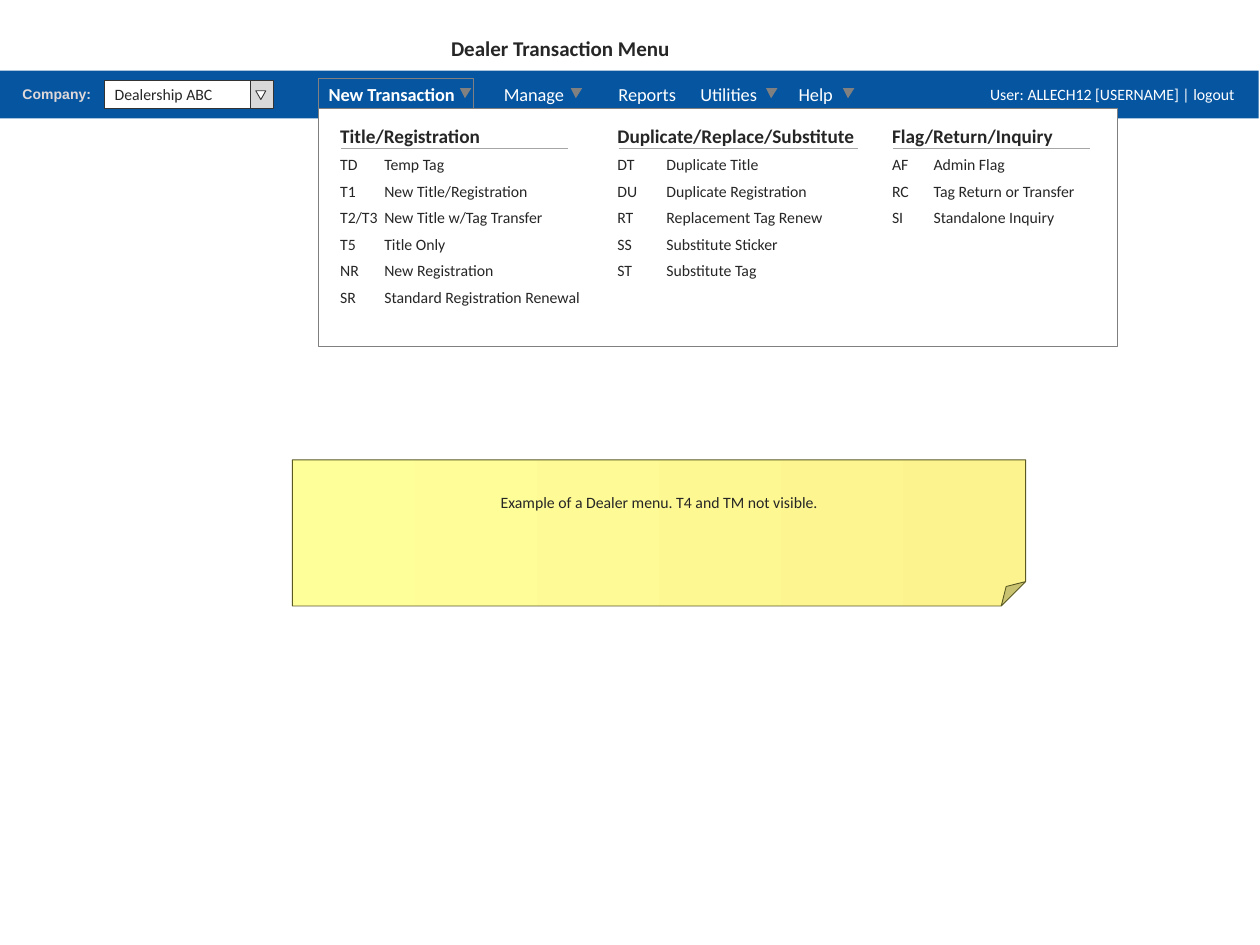
from pptx import Presentation
from pptx.dml.color import RGBColor
from pptx.enum.shapes import MSO_CONNECTOR, MSO_SHAPE
from pptx.enum.text import MSO_ANCHOR, PP_ALIGN
from pptx.oxml.ns import qn
from pptx.util import Inches, Pt
from lxml import etree

RECT = MSO_SHAPE.RECTANGLE
TRI = MSO_SHAPE.ISOSCELES_TRIANGLE
NOTE = MSO_SHAPE.FOLDED_CORNER
LINE = MSO_CONNECTOR.STRAIGHT
MID, TOP = MSO_ANCHOR.MIDDLE, MSO_ANCHOR.TOP
LEFT, CENTER = PP_ALIGN.LEFT, PP_ALIGN.CENTER

INK, WHITE, BLUE = "262626", "FFFFFF", "0655A1"
GRAY, DARK = "808080", "333333"
PAD = (0.08, 0.04, 0.08, 0.04)
WIDE = (0.1, 0.05, 0.1, 0.05)
ROW = 0.21

# Menu columns: heading, left, heading width, rule width, name offset, rows
COLUMNS = [
    ("Title/Registration", 2.62, 1.29, 1.8, 0.35, [
        ("TD", "Temp Tag", 0.66),
        ("T1", "New Title/Registration", 1.32),
        ("T2/T3", "New Title w/Tag Transfer", 1.45),
        ("T5", "Title Only", 0.65),
        ("NR", "New Registration", 1.04),
        ("SR", "Standard Registration Renewal", 1.74)]),
    ("Duplicate/Replace/Substitute", 4.82, 2.08, 1.9, 0.39, [
        ("DT", "Duplicate Title", 0.9),
        ("DU", "Duplicate Registration", 1.3),
        ("RT", "Replacement Tag Renew", 1.42),
        ("SS", "Substitute Sticker", 1.06),
        ("ST", "Substitute Tag", 0.89)]),
    ("Flag/Return/Inquiry", 7, 2.06, 1.56, 0.33, [
        ("AF", "Admin Flag", 0.73),
        ("RC", "Tag Return or Transfer", 1.31),
        ("SI", "Standalone Inquiry", 1.13)]),
]


def color(text):
    return RGBColor.from_string(text)


def box(*sides):
    return [Inches(side) for side in sides]


def paint(shape, fill=None, line=None):
    shape.shadow.inherit = False
    if fill:
        shape.fill.solid()
        shape.fill.fore_color.rgb = color(fill)
    else:
        shape.fill.background()
    if line:
        shape.line.color.rgb = color(line)
        shape.line.width = Pt(0.5)
    else:
        shape.line.fill.background()


def style(run, size, ink, bold, font="Calibri"):
    run.font.size = Pt(size)
    run.font.name = font
    run.font.bold = bold
    run.font.color.rgb = color(ink)


def write(shape, text, size, ink=INK, bold=False, font="Calibri",
          pad=PAD, anchor=TOP, wrap=True):
    frame = shape.text_frame
    frame.text = text
    frame.word_wrap = wrap
    frame.vertical_anchor = anchor
    (frame.margin_left, frame.margin_top,
     frame.margin_right, frame.margin_bottom) = box(*pad)
    para = frame.paragraphs[0]
    para.alignment = LEFT
    for run in para.runs:
        style(run, size, ink, bold, font)
    return para


def label(shapes, place, text, size, **look):
    return write(shapes.add_textbox(*box(*place)), text, size, **look)


def block(shapes, place, fill=None, line=None, kind=RECT):
    shape = shapes.add_shape(kind, *box(*place))
    paint(shape, fill, line)
    return shape


def arrow(shapes, x, y):
    pen = shapes.build_freeform(Inches(x), Inches(y))
    pen.add_line_segments([box(x + 0.09, y), box(x + 0.04, y + 0.08)])
    paint(pen.convert_to_shape(), GRAY)


def set_tabs(para, stops):
    tabs = etree.SubElement(para._p.get_or_add_pPr(), qn("a:tabLst"))
    for stop in stops:
        etree.SubElement(tabs, qn("a:tab"), pos=str(Inches(stop)), algn="l")


def nav_bar(shapes, x, y):
    block(shapes, (x, y, 10, 0.38), BLUE)
    label(shapes, (x + 0.09, y + 0.07, 0.82, 0.24), "Company:", 8,
          ink="DFD9D9", bold=True, font="Arial", pad=WIDE)
    # Menu entries
    para = label(shapes, (x + 2.52, y + 0.04, 5.41, 0.29), "New Transaction",
                 10.5, ink=WHITE, bold=True, pad=WIDE, anchor=MID)
    rest = para.add_run()
    rest.text = "\tManage\tReports\tUtilities\tHelp"
    style(rest, 10.5, WHITE, False)
    set_tabs(para, (1.39, 2.3, 2.95, 3.73))
    for left in (3.66, 4.54, 6.09, 6.7):
        arrow(shapes, x + left, y + 0.14)
    # Company picker
    pick = block(shapes, (x + 0.84, y + 0.08, 1.28, 0.22), WHITE, DARK)
    write(pick, "Dealership ABC", 9, pad=(0.08, 0.04, 0.18, 0.04), anchor=MID)
    block(shapes, (x + 2, y + 0.08, 0.18, 0.22), "D9D9D9", DARK)
    mark = block(shapes, (x + 2.04, y + 0.16, 0.08, 0.07), WHITE, DARK, TRI)
    mark.rotation = 180
    label(shapes, (x + 7.77, y + 0.04, 2.22, 0.29),
          "User: ALLECH12 [USERNAME] | logout", 9,
          ink=WHITE, pad=WIDE, anchor=MID)


def panel(shapes, x, y):
    group = shapes.add_group_shape().shapes
    block(group, (x, y, 6.34, 1.89), WHITE, GRAY)
    block(group, (x, y - 0.24, 1.23, 0.24), line=GRAY)


def column(shapes, y, head, x, width, rule, gap, rows):
    group = shapes.add_group_shape().shapes
    label(group, (x, y, width, 0.26), head, 11, bold=True, wrap=False)
    line = group.add_connector(LINE, *box(x + 0.09, y + 0.23,
                                          x + 0.09 + rule, y + 0.23))
    line.line.color.rgb = color("A6A6A6")
    line.line.width = Pt(0.75)
    etree.SubElement(line._element.spPr, qn("a:effectLst"))
    for i, (code, name, span) in enumerate(rows):
        top = y + 0.24 + i * ROW
        # Codes get spare width so that they stay on one line
        wide = 0.5 if len(code) > 2 else 0.36
        label(group, (x, top, wide, 0.22), code, 9)
        label(group, (x + gap, top, span + 0.04, 0.22), name, 9)


def note(shapes, x, y):
    shape = block(shapes, (x, y, 5.82, 1.16), "FFFF99", "5B5A23", NOTE)
    shape.fill.gradient()
    shape.fill.gradient_angle = 0
    for stop, tint, spot in zip(shape.fill.gradient_stops,
                                ("FFFF99", "FCF38E"), (0, 1)):
        stop.color.rgb = color(tint)
        stop.position = spot
    para = write(shape, "Example of a Dealer menu. T4 and TM not visible.", 9,
                 pad=(0.1, 0.05, 0.1, 0.35), anchor=MID)
    para.alignment = CENTER


def menu_slide(deck):
    shapes = deck.slides.add_slide(deck.slide_layouts[6]).shapes
    nav_bar(shapes, -0.01, 0.56)
    panel(shapes, 2.53, 0.86)
    label(shapes, (3.5, 0.24, 1.95, 0.27), "Dealer Transaction Menu", 12,
          bold=True, wrap=False)
    for part in COLUMNS:
        column(shapes, 0.95, *part)
    note(shapes, 2.32, 3.65)


deck = Presentation()
deck.slide_width, deck.slide_height = box(10, 7.5)
menu_slide(deck)
deck.save("out.pptx")
